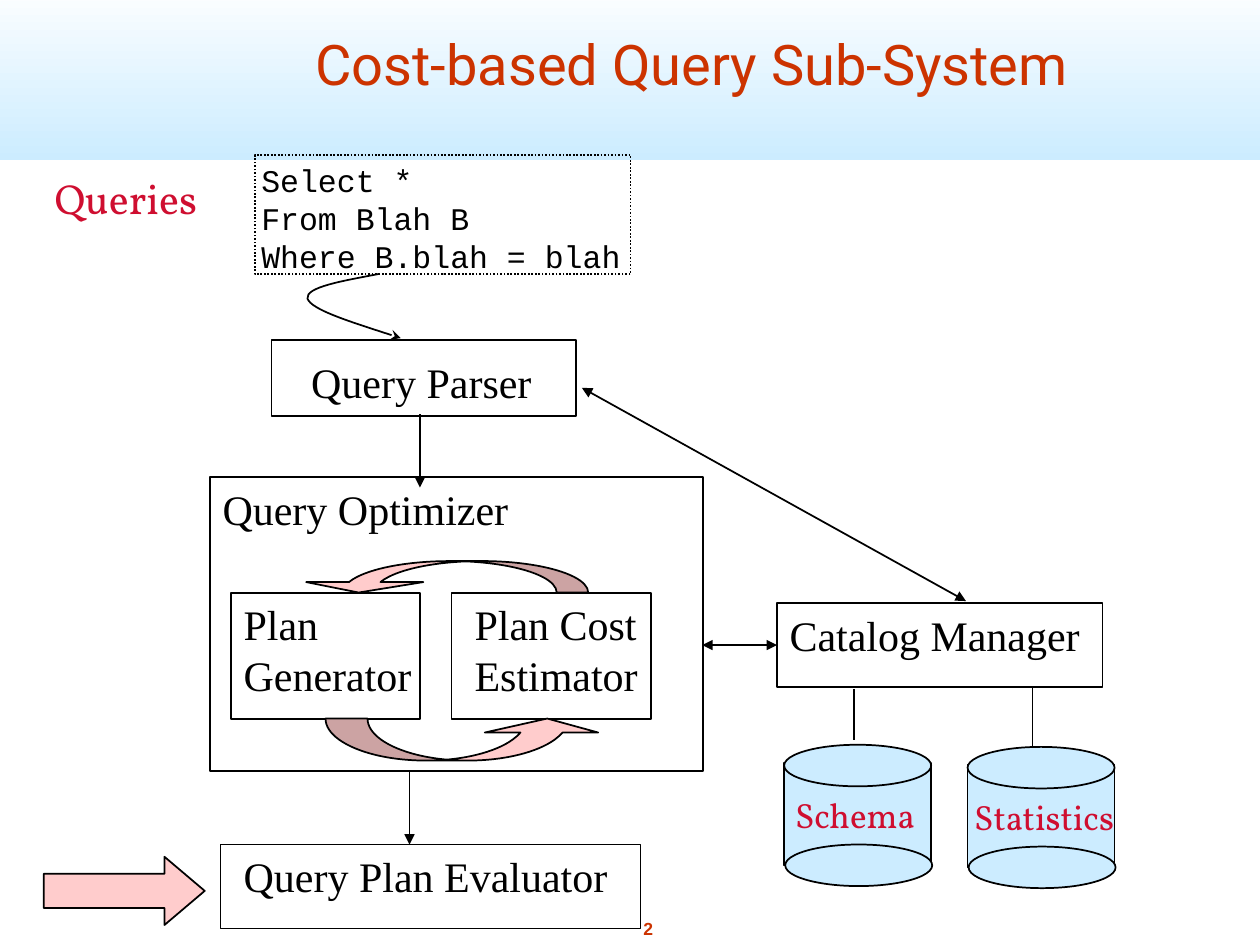
import pptx
import pptx.util
import pptx.dml.color
import pptx.enum.dml
import pptx.enum.shapes
import pptx.enum.text
import pptx.oxml
import pptx.oxml.ns

Pt = pptx.util.Pt
RGBColor = pptx.dml.color.RGBColor
Shape = pptx.enum.shapes.MSO_SHAPE
Align = pptx.enum.text.PP_ALIGN
Anchor = pptx.enum.text.MSO_ANCHOR
qn = pptx.oxml.ns.qn
NAMESPACE = pptx.oxml.ns.nsdecls("a")

BLACK = RGBColor(0x00, 0x00, 0x00)
WHITE = RGBColor(0xFF, 0xFF, 0xFF)
ORANGE = RGBColor(0xCC, 0x33, 0x00)
CRIMSON = RGBColor(0xCF, 0x0E, 0x30)
SKY = RGBColor(0xCC, 0xEC, 0xFF)
PINK = RGBColor(0xFF, 0xCC, 0xCC)

# Content: all lengths in points
TITLE = "Cost-based Query Sub-System"
QUERY = ["Select *", "From Blah B", "Where B.blah = blah"]
QUERY_BOX = (145.7, 88.6, 214.6, 68.2)

# Boxes: left, top, width, height
BOXES = [
    (126, 482.6, 240, 48),      # evaluator
    (132, 338.7, 108, 72),      # generator
    (258, 338.7, 114, 72),      # estimator
    (120, 272.6, 282, 168),     # optimizer
    (444, 344.6, 186, 48),      # catalog
    (155.2, 194.5, 174, 43.2),  # parser
]
# Labels: text, left, top, width, height
LABELS = [
    ("Query Plan Evaluator", 135.6, 482.6, 304.5, 33.1),
    ("Query Optimizer", 123.6, 272.6, 479, 33.1),
    ("Plan Generator", 135.6, 338.7, 124.5, 60.5),
    ("Plan Cost Estimator", 267.6, 338.7, 155, 60.5),
    ("Catalog Manager", 447.6, 344.6, 185, 33.1),
    ("Query Parser", 174.2, 200.2, 155, 33.1),
]
# Links: start x, start y, end x, end y, head, tail
LINKS = [
    (234, 440.6, 234, 482.6, False, True),
    (240, 236.8, 240, 278.6, False, True),
    (401.3, 368.6, 444, 368.6, True, True),
    (332.5, 221.6, 552, 343.5, True, True),
    (488, 393.7, 488, 422.8, False, False),
    (590, 392.6, 590, 427.6, False, False),
]
# Stores: name, left, top, label left, label width
STORES = [("Schema", 448.1, 425.6, 450.7, 80.6),
          ("Statistics", 552.9, 426.8, 553.1, 91.4)]

# Cycle arrows: box, rotation, shaft width, head width, head length
CYCLES = [((186, 410.6, 159.1, 24), 0, 32.6, 64.8, 8),
          ((171.4, 320.6, 164.7, 18), 180, 34, 67, 6)]
# Start point, then control, control, end for each Bezier curve
QUERY_CURVE = [(216.7, 156.5), (196, 160.5), (174.5, 164), (175.7, 170.6),
               (177.8, 177), (203.8, 185), (229, 193.2)]


def style(shape, fill=None, line=BLACK):
    shape.shadow.inherit = False
    if fill is None:
        shape.fill.background()
    else:
        shape.fill.solid()
        shape.fill.fore_color.rgb = fill
    if line is None:
        shape.line.fill.background()
    else:
        shape.line.color.rgb = line
        shape.line.width = Pt(1)
    return shape


def add_shape(kind, box, fill=None, line=BLACK):
    return style(slide.shapes.add_shape(kind, *map(Pt, box)), fill, line)


def write(shape, lines, size, font, color, wrap=True, align=Align.LEFT,
          anchor=Anchor.TOP, bold=False):
    frame = shape.text_frame
    frame.auto_size = pptx.enum.text.MSO_AUTO_SIZE.NONE
    frame.word_wrap = wrap
    frame.vertical_anchor = anchor
    frame.margin_left = frame.margin_right = Pt(3.6)
    frame.margin_top = frame.margin_bottom = Pt(3.6)
    for index, line in enumerate(lines):
        paragraph = frame.add_paragraph() if index else frame.paragraphs[0]
        paragraph.alignment = align
        run = paragraph.add_run()
        run.text = line
        run.font.size = Pt(size)
        run.font.name = font
        run.font.bold = bold
        run.font.color.rgb = color


def add_text(box, *args, **options):
    write(slide.shapes.add_textbox(*map(Pt, box)), *args, **options)


def add_arrowhead(shape, end, kind):
    shape.element.find(".//" + qn("a:ln")).append(
        pptx.oxml.parse_xml(f'<a:{end} {NAMESPACE} type="{kind}"/>'))


def add_curve(points):
    """Draw an open curve: every three segments become one Bezier curve."""
    points = [(Pt(x), Pt(y)) for x, y in points]
    builder = slide.shapes.build_freeform(*points[0])
    builder.add_line_segments(points[1:], close=False)
    shape = style(builder.convert_to_shape())
    segments = list(shape.element.iter(qn("a:lnTo")))
    for index in range(0, len(segments), 3):
        curve = pptx.oxml.parse_xml(f"<a:cubicBezTo {NAMESPACE}/>")
        segments[index].addprevious(curve)
        for segment in segments[index:index + 3]:
            curve.append(segment[0])
            segment.getparent().remove(segment)
    return shape


presentation = pptx.Presentation()
presentation.slide_width, presentation.slide_height = Pt(720), Pt(540)
slide = presentation.slides.add_slide(presentation.slide_layouts[5])

# Title over a gradient band
title = slide.shapes.title
title.left, title.top, title.width, title.height = map(Pt, (89.5, 0, 612, 59))
write(title, [TITLE], 32, "Roboto", ORANGE, align=Align.CENTER, anchor=Anchor.BOTTOM)
band = add_shape(Shape.RECTANGLE, (0, -12, 720, 103.5), SKY, None)
band.fill.gradient()
band.fill.gradient_angle = 90
for stop, color, position in zip(band.fill.gradient_stops, (SKY, WHITE), (0, 1)):
    stop.color.rgb = color
    stop.position = position
title.element.addprevious(band.element)

# Slide number
add_text((363.5, 520.9, 14, 19.5), ["2"], 10, "Arial", ORANGE,
         wrap=False, align=Align.CENTER, bold=True)

# Boxes and their labels
for box in BOXES:
    add_shape(Shape.RECTANGLE, box)
for text, *box in LABELS:
    add_text(box, [text], 24, "Times New Roman", BLACK)

# Cycle between generator and estimator
for box, rotation, *sizes in CYCLES:
    arrow = add_shape(Shape.CURVED_UP_ARROW, box, PINK)
    arrow.rotation = rotation
    for index, size in enumerate(sizes):
        arrow.adjustments[index] = size / box[3]

# Data stores
for name, left, top, label_left, label_width in STORES:
    add_shape(Shape.RECTANGLE, (left, top + 10.5, 84, 58.5), SKY)
    for x, y in ((left, top), (left + 0.6, top + 57)):
        add_shape(Shape.OVAL, (x, y, 84, 23.75), SKY)
    add_text((label_left, top + 24.2, label_width, 31), [name], 20, "Vollkorn", CRIMSON)

# Links
for x1, y1, x2, y2, head, tail in LINKS:
    link = slide.shapes.add_connector(pptx.enum.shapes.MSO_CONNECTOR.STRAIGHT,
                                      Pt(x1), Pt(y1), Pt(x2), Pt(y2))
    link.line.color.rgb = BLACK
    link.line.width = Pt(1)
    for end, shown in (("headEnd", head), ("tailEnd", tail)):
        if shown:
            add_arrowhead(link, end, "triangle")
    link.element.spPr.append(pptx.oxml.parse_xml(f"<a:effectLst {NAMESPACE}/>"))

# Sample query and its way into the parser
query = add_shape(Shape.RECTANGLE, QUERY_BOX)
query.line.dash_style = pptx.enum.dml.MSO_LINE.ROUND_DOT
write(query, QUERY, 18, "Courier New", BLACK, wrap=False)
add_text((27.6, 95, 91.5, 36), ["Queries"], 24, "Vollkorn", CRIMSON, wrap=False)
add_arrowhead(add_curve(QUERY_CURVE), "tailEnd", "stealth")

# Pointer to the evaluator
pointer = add_shape(Shape.RIGHT_ARROW, (25, 489.6, 92, 39), PINK)
pointer.adjustments[0], pointer.adjustments[1] = 0.5, 0.59

presentation.save("out.pptx")
